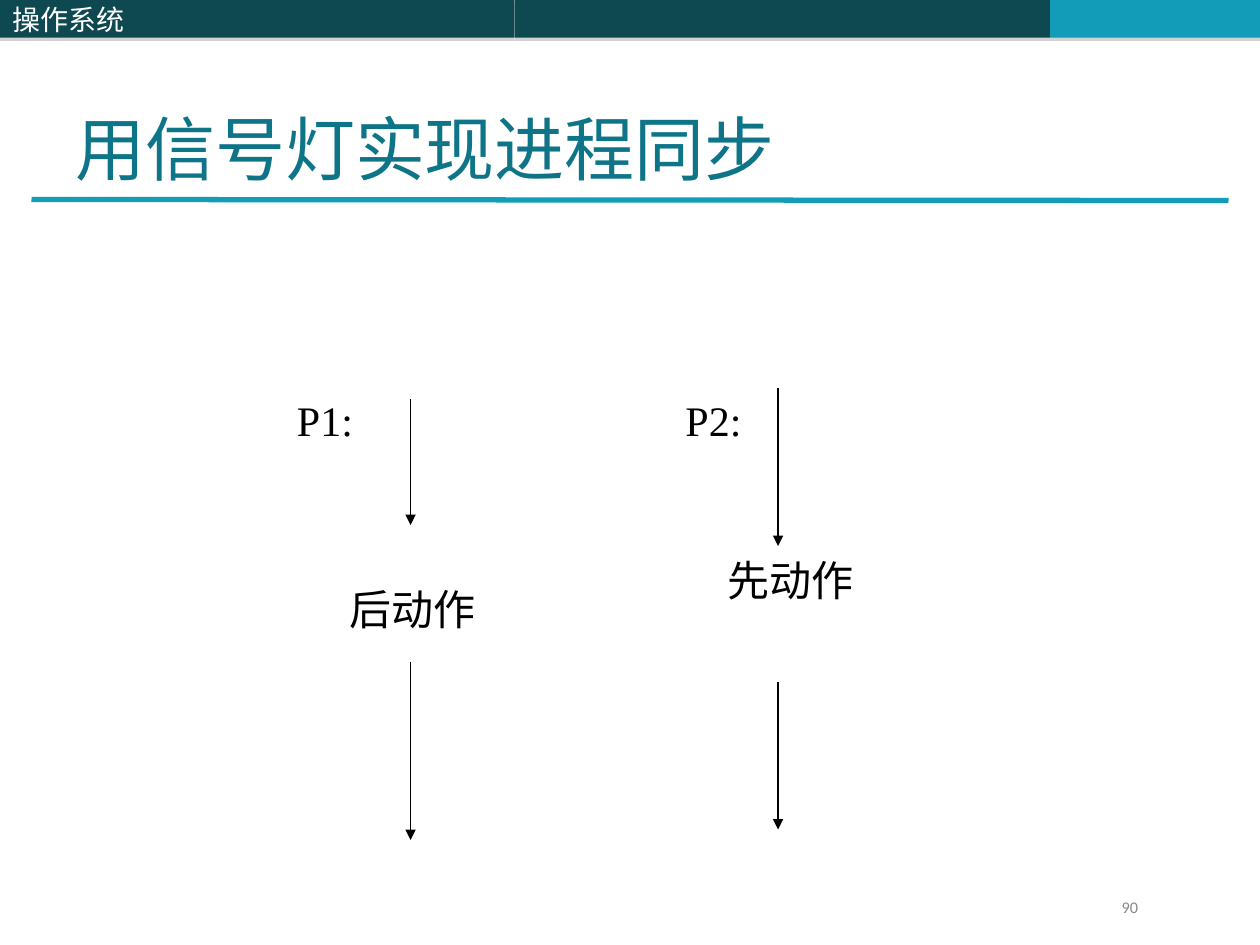
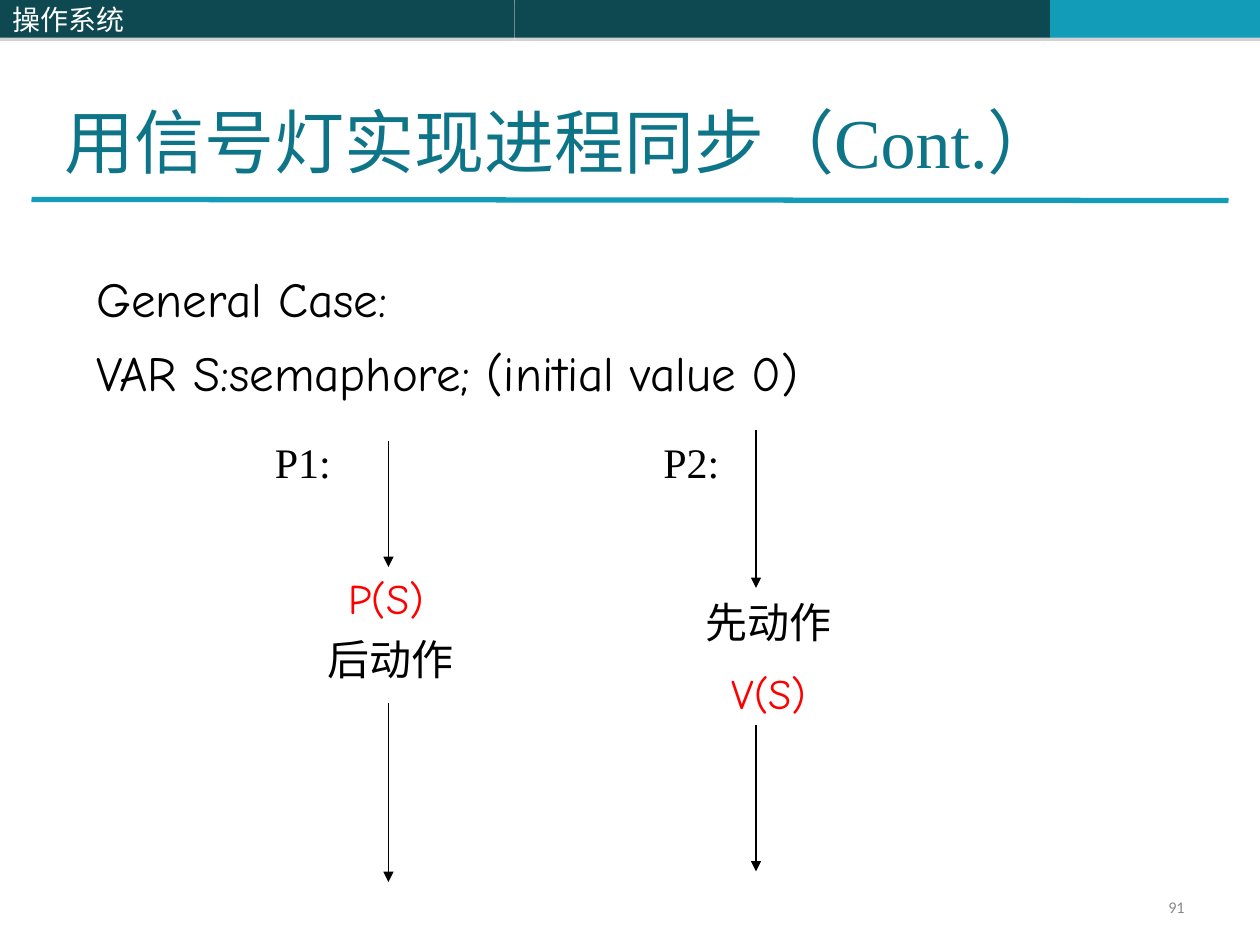
from pptx import Presentation
from pptx.dml.color import RGBColor
from pptx.enum.shapes import MSO_CONNECTOR, MSO_SHAPE
from pptx.enum.text import MSO_ANCHOR, PP_ALIGN
from pptx.oxml.ns import qn
from pptx.util import Inches, Pt
from lxml.etree import SubElement

COLORS = {
    "dark": "0E4851", "teal": "139CB7", "title": "0E7589", "black": "000000",
    "red": "FF0000", "white": "FFFFFF", "grey": "898989", "shadow": "808080",
}
SERIF, COMIC, CJK, SANS = "Times New Roman", "Comic Neue", "Noto Sans CJK SC", "Calibri"

# Grid of 120 columns by 90 rows
prs = Presentation()
prs.slide_width, prs.slide_height = Inches(10), Inches(7.5)
COL, ROW = prs.slide_width / 120, prs.slide_height / 90


def add_text(s, box, lines, anchor=MSO_ANCHOR.TOP, align=PP_ALIGN.LEFT, before=0):
    """Each line: text, size, font, colour, line spacing, indent in columns."""
    x, y, w, h = box
    tf = s.shapes.add_textbox(int(x * COL), int(y * ROW), int(w * COL), int(h * ROW)).text_frame
    tf.word_wrap = True
    tf.vertical_anchor = anchor
    for i, (text, size, font, color, spacing, indent) in enumerate(lines):
        p = tf.paragraphs[0] if i == 0 else tf.add_paragraph()
        p.text = text
        p.alignment = align
        p.line_spacing = spacing
        if i:
            p.space_before = Pt(before)
        p.font.size = Pt(size)
        p.font.name = font
        p.font.color.rgb = RGBColor.from_string(COLORS[color])
        pPr = p._p.get_or_add_pPr()
        pPr.set("marL", str(int(indent * COL)))
        SubElement(pPr.find(qn("a:defRPr")), qn("a:ea"), typeface=CJK)


def add_line(s, x1, y1, x2, y2, color, width, arrow=False):
    c = s.shapes.add_connector(MSO_CONNECTOR.STRAIGHT, int(x1 * COL), int(y1 * ROW),
                               int(x2 * COL), int(y2 * ROW))
    c.line.color.rgb = RGBColor.from_string(COLORS[color])
    c.line.width = Pt(width)
    if arrow:
        SubElement(c.line._get_or_add_ln(), qn("a:tailEnd"), type="triangle")
    SubElement(c._element.spPr, qn("a:effectLst"))


after = ("后动作", 24, COMIC, "black", 1.0, 0)
first = ("先动作", 24, COMIC, "black", 0.9, 0)
pages = [
    {"title": "用信号灯实现进程同步", "title_box": (6, 3.6, 108, 15),
     "body": [], "origin": (27.1, 37), "p1_row": 12.1,
     "p1": [after], "p2": [first],
     "number": ("90", (90, 85.2, 28, 3.2), MSO_ANCHOR.TOP, PP_ALIGN.LEFT, 15.65)},
    {"title": "用信号灯实现进程同步（Cont.）", "title_box": (5, 3, 102, 15),
     "body": [("General Case:", 28, COMIC, "black", 1.0, 0),
              ("VAR S:semaphore; (initial value 0)", 28, COMIC, "black", 0.7, 0)],
     "origin": (25, 41), "p1_row": 12.8,
     "p1": [("P(S)", 24, COMIC, "red", 1.0, 2), after],
     "p2": [first, ("V(S)", 24, COMIC, "red", 0.9, 2.5)],
     "number": ("91", (86, 85, 28, 3.2), MSO_ANCHOR.MIDDLE, PP_ALIGN.RIGHT, 0)},
]

for page in pages:
    s = prs.slides.add_slide(prs.slide_layouts[6])

    # Header band
    for x, w, color in [(49, 51, "dark"), (100, 20, "teal"), (0, 49, "dark")]:
        sp = s.shapes.add_shape(MSO_SHAPE.RECTANGLE, int(x * COL), 0, int(w * COL), int(3.6 * ROW))
        sp.fill.solid()
        sp.fill.fore_color.rgb = RGBColor.from_string(COLORS[color])
        sp.line.fill.background()
        sp.shadow.inherit = False
        shadow = SubElement(sp._element.spPr.find(qn("a:effectLst")), qn("a:outerShdw"),
                            dist=str(Pt(1.8)), dir="5400000", rotWithShape="0")
        clr = SubElement(shadow, qn("a:srgbClr"), val=COLORS["shadow"])
        SubElement(clr, qn("a:alpha"), val="35000")
    add_text(s, (0, 0, 49, 3.6), [("操作系统", 16, CJK, "white", 1.0, 0)], MSO_ANCHOR.MIDDLE)

    # Title, rule and body
    add_line(s, 3, 19, 117, 19.1, "teal", 3)
    add_text(s, page["title_box"], [(page["title"], 40, SERIF, "title", 1.0, 0)],
             MSO_ANCHOR.BOTTOM)
    if page["body"]:
        add_text(s, (8, 25, 105, 13.7), page["body"], before=17.5)

    # Two processes, placed from the diagram's origin
    ox, oy = page["origin"]
    for x, y1, y2 in [(12, 1, 13), (12, 26, 43), (47, 0, 15), (47, 28, 42)]:
        add_line(s, ox + x, oy + y1, ox + x, oy + y2, "black", 0.75, arrow=True)
    add_text(s, (ox + 5, oy + page["p1_row"], 15, 11.9), page["p1"], MSO_ANCHOR.BOTTOM, before=6)
    add_text(s, (ox + 41, oy + 15.75, 15, 12.4), page["p2"], before=15)
    for x, name in [(0, "P1:"), (37, "P2:")]:
        add_text(s, (ox + x, oy, 9, 6), [(name, 24, SERIF, "black", 1.0, 0)])

    # Page number
    number, box, anchor, align, indent = page["number"]
    add_text(s, box, [(number, 9.3, SANS, "grey", 0.8, indent)], anchor, align)

prs.save("out.pptx")
